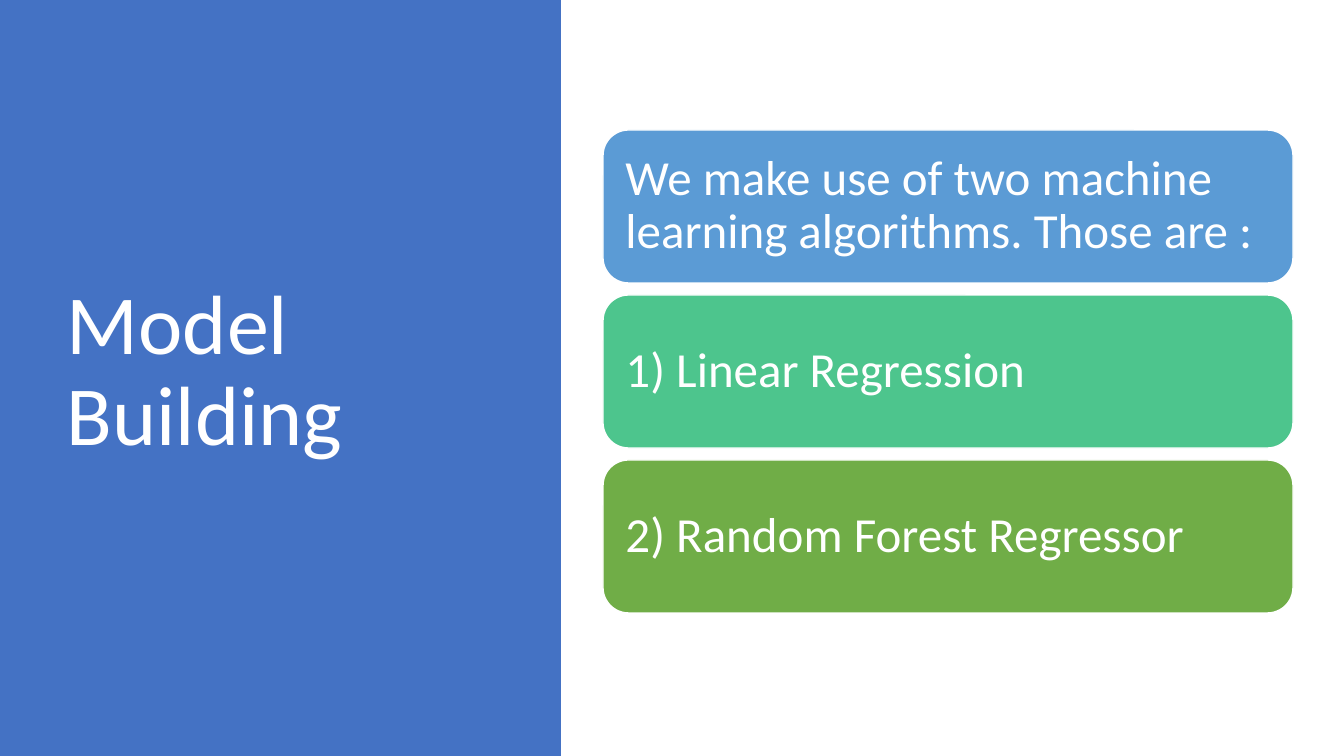
from dataclasses import dataclass

from pptx import Presentation
from pptx.dml.color import RGBColor as RGB
from pptx.enum.shapes import MSO_SHAPE as Kind
from pptx.enum.text import MSO_ANCHOR as Anchor, PP_ALIGN as Align
from pptx.util import Emu, Pt


@dataclass
class Theme:
    font: str = "Calibri"
    white: RGB = RGB.from_string("FFFFFF")
    panel: RGB = RGB.from_string("4472C4")
    cards: tuple = tuple(map(RGB.from_string, ("5B9BD5", "4DC58D", "70AD47")))
    title: int = 60
    body: int = 35


def px(n):
    return Emu(round(n * 914400 / 100.8))


def write(shape, text, size, pad_x, pad_y):
    """Set wrapped, left-aligned white text, centred vertically in the shape."""
    frame = shape.text_frame
    frame.text = text
    frame.word_wrap = True
    frame.vertical_anchor = Anchor.MIDDLE
    frame.margin_left = frame.margin_right = px(pad_x)
    frame.margin_top = frame.margin_bottom = px(pad_y)
    para = frame.paragraphs[0]
    para.alignment = Align.LEFT
    para.line_spacing = 0.9
    font = para.runs[0].font
    font.name = theme.font
    font.size = Pt(size)
    font.color.rgb = theme.white


theme = Theme()
deck = Presentation()
deck.slide_width, deck.slide_height = px(1344), px(756)
slide = deck.slides.add_slide(deck.slide_layouts[6])
shapes = slide.shapes

panel = shapes.add_shape(Kind.RECTANGLE, 0, 0, px(561), px(756))
panel.shadow.inherit = False
panel.fill.solid()
panel.fill.fore_color.rgb = theme.panel
panel.line.fill.background()

title = shapes.add_textbox(px(57), px(69), px(419), px(607))
write(title, "Model Building", theme.title, 10, 5)

steps = (
    "We make use of two machine learning algorithms. Those are :",
    "1) Linear Regression",
    "2) Random Forest Regressor",
)
top, high, gap = 130, 153, 12
for i, (step, color) in enumerate(zip(steps, theme.cards)):
    y = top + i * (high + gap)
    card = shapes.add_shape(Kind.ROUNDED_RECTANGLE, px(603), px(y), px(690), px(high))
    card.shadow.inherit = False
    card.fill.solid()
    card.fill.fore_color.rgb = color
    card.line.color.rgb = theme.white
    card.line.width = Pt(1)
    write(card, step, theme.body, 15, 15)

deck.save("out.pptx")
